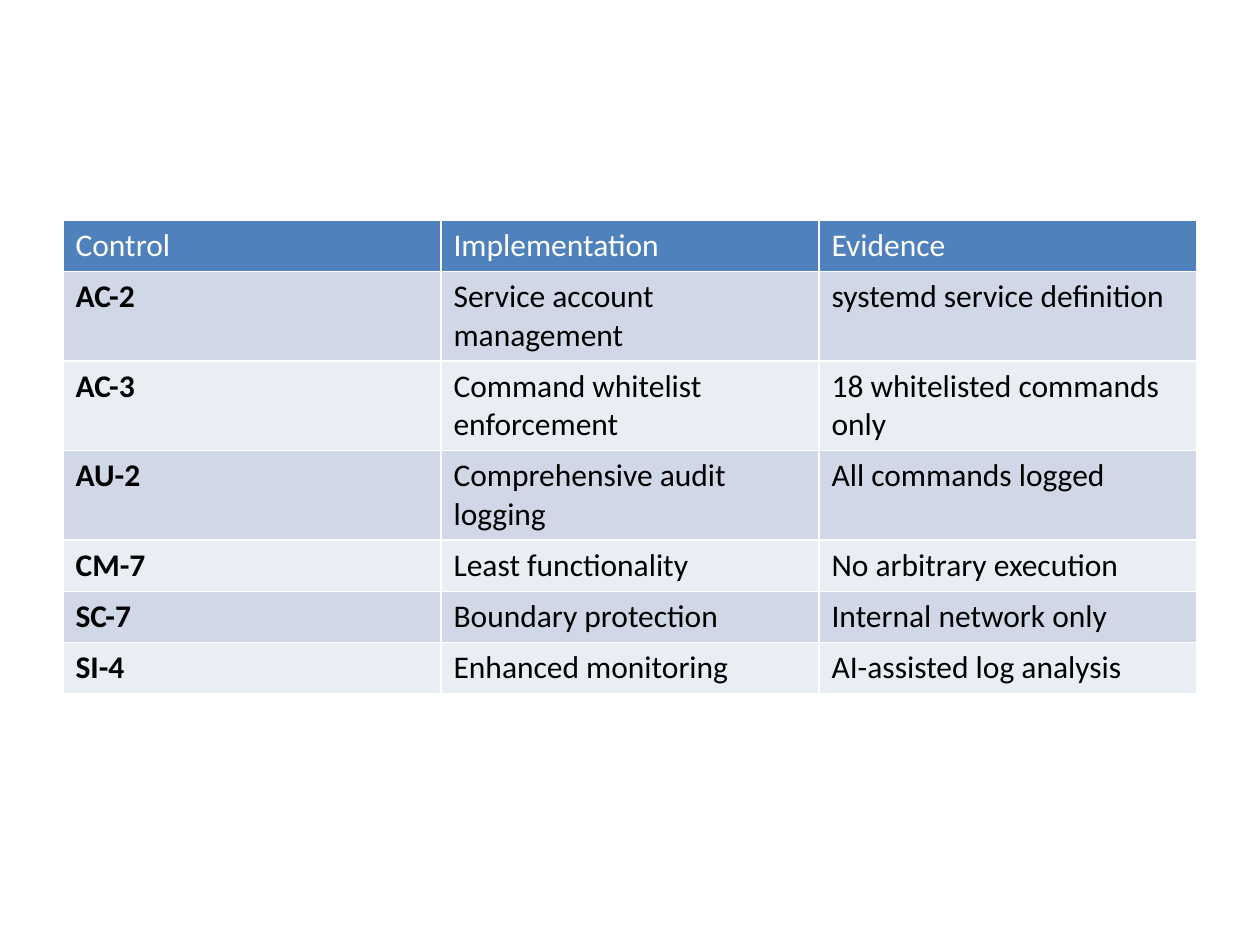
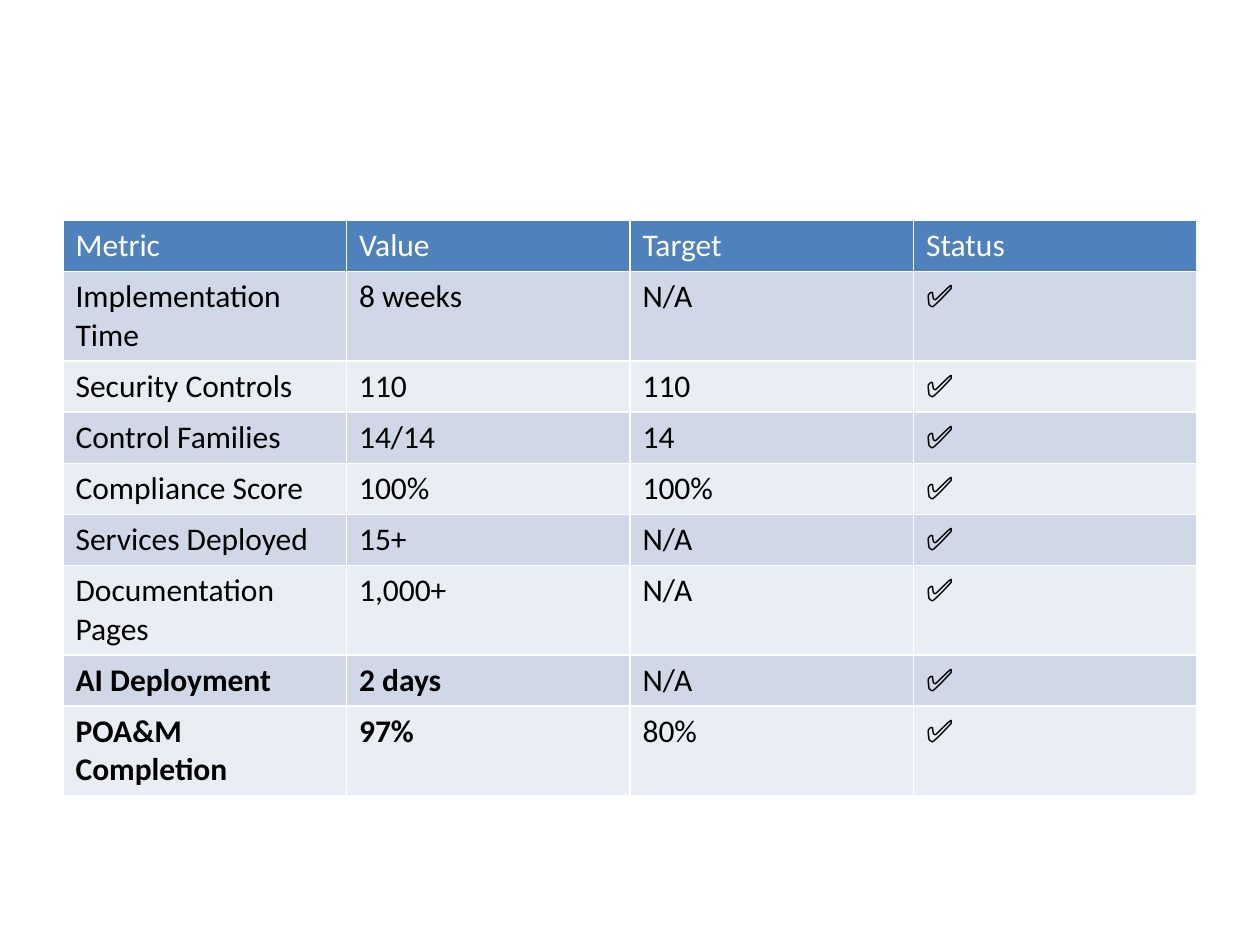
from pptx import Presentation
from pptx.dml.color import RGBColor
from pptx.util import Inches, Pt

SLIDE_WIDTH, SLIDE_HEIGHT = Inches(10), Inches(7.5)
BLANK_LAYOUT = 6
FONT = "Calibri"
COLORS = {
    "header": "4F81BD",
    "header_text": "FFFFFF",
    "odd_band": "D0D8E8",
    "even_band": "E9EDF4",
    "body_text": "000000",
}
GRID_BOX = (
    round(SLIDE_WIDTH * 0.05),
    Inches(1.75),
    round(SLIDE_WIDTH * 0.9),
    Inches(4.94),
)
MIN_ROW_HEIGHT = Inches(0.4)
DONE = "✅"

CONTROLS = [
    ("Control", "Implementation", "Evidence"),
    ("AC-2", "Service account management", "systemd service definition"),
    ("AC-3", "Command whitelist enforcement", "18 whitelisted commands only"),
    ("AU-2", "Comprehensive audit logging", "All commands logged"),
    ("CM-7", "Least functionality", "No arbitrary execution"),
    ("SC-7", "Boundary protection", "Internal network only"),
    ("SI-4", "Enhanced monitoring", "AI-assisted log analysis"),
]
CONTROL_IDS = {control for control, *_ in CONTROLS[1:]}

METRICS = [
    ("Metric", "Value", "Target", "Status"),
    ("Implementation Time", "8 weeks", "N/A", DONE),
    ("Security Controls", "110", "110", DONE),
    ("Control Families", "14/14", "14", DONE),
    ("Compliance Score", "100%", "100%", DONE),
    ("Services Deployed", "15+", "N/A", DONE),
    ("Documentation Pages", "1,000+", "N/A", DONE),
    ("AI Deployment", "2 days", "N/A", DONE),
    ("POA&M Completion", "97%", "80%", DONE),
]
KEY_RESULTS = {entry for metric in METRICS[-2:] for entry in metric[:2]}


def rgb(name):
    return RGBColor.from_string(COLORS[name])


def write_text(frame, text, *, color, bold=False, size=18):
    run = frame.paragraphs[0].add_run()
    run.text = text
    run.font.name = FONT
    run.font.size = Pt(size)
    run.font.bold = bold
    run.font.color.rgb = rgb(color)


def row_colors(index):
    if index == 0:
        return "header", "header_text"
    return ("odd_band" if index % 2 else "even_band"), "body_text"


def add_grid(slide, box, records, emphasized):
    left, top, width, height = box
    frame = slide.shapes.add_table(
        len(records), len(records[0]), left, top, width, height
    )
    grid = frame.table
    for index, record in enumerate(records):
        grid.rows[index].height = MIN_ROW_HEIGHT
        band, ink = row_colors(index)
        for cell, entry in zip(grid.rows[index].cells, record):
            cell.fill.solid()
            cell.fill.fore_color.rgb = rgb(band)
            write_text(
                cell.text_frame, entry, color=ink, bold=entry in emphasized
            )
    frame.height = height


def add_table_slide(deck, records, emphasized):
    slide = deck.slides.add_slide(deck.slide_layouts[BLANK_LAYOUT])
    add_grid(slide, GRID_BOX, records, emphasized)


def main():
    deck = Presentation()
    deck.slide_width, deck.slide_height = SLIDE_WIDTH, SLIDE_HEIGHT
    add_table_slide(deck, CONTROLS, CONTROL_IDS)
    add_table_slide(deck, METRICS, KEY_RESULTS)
    deck.save("out.pptx")


if __name__ == "__main__":
    main()
